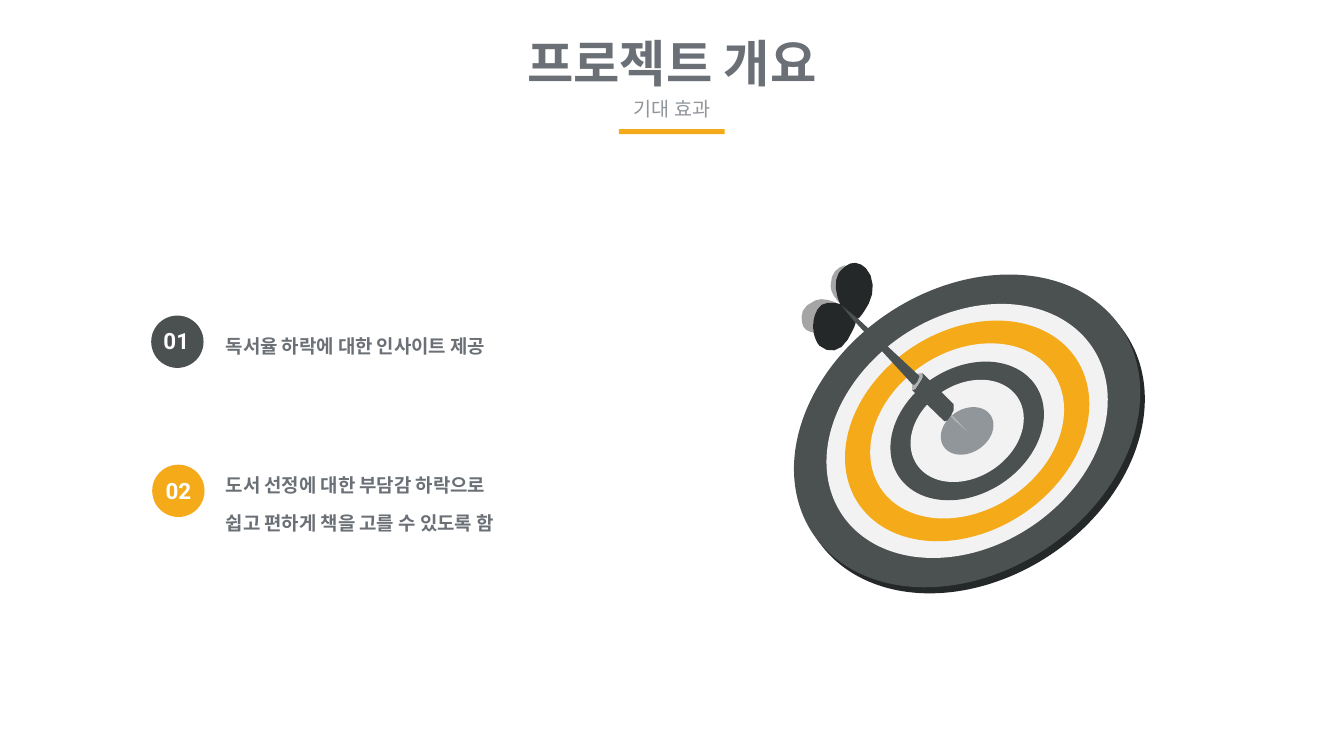
from pptx import Presentation, util as u
from pptx.dml.color import RGBColor
from pptx.enum import shapes, text

DARK, GOLD, PALE, BLACK = "4B5050", "F5AA19", "F2F2F2", "252828"
GREY, SOFT, FIN, GLINT = "6B7076", "91969B", "A5A5A5", "B1B1B1"
UNIT = 0.72  # points per step of the drawing grid


def color(code):
    return RGBColor.from_string(code)


def fill(shape, code):
    shape.fill.solid()
    shape.fill.fore_color.rgb = color(code)
    shape.line.fill.background()
    shape.shadow.inherit = False


def write(shape, words, size=13.5, font="Lato", code=GREY, bold=False,
          align="LEFT", anchor="TOP", space=None, wrap=True):
    frame = shape.text_frame
    frame.auto_size = text.MSO_AUTO_SIZE.NONE
    frame.word_wrap = wrap
    frame.margin_left = frame.margin_right = u.Pt(0)
    frame.margin_top = frame.margin_bottom = u.Pt(0)
    frame.vertical_anchor = getattr(text.MSO_ANCHOR, anchor)
    for i, line in enumerate(words.split("\n")):
        para = frame.add_paragraph() if i else frame.paragraphs[0]
        para.alignment = getattr(text.PP_ALIGN, align)
        if space:
            para.line_spacing = space
        run = para.add_run()
        run.text = line
        run.font.size, run.font.name, run.font.bold = u.Pt(size), font, bold
        run.font.color.rgb = color(code)


def curve(pts, steps=4):
    """Sample joined cubic curves: a start point, then three points for each."""
    out = [pts[0]]
    for i in range(0, len(pts) - 1, 3):
        a, b, c, d = pts[i:i + 4]
        for n in range(1, steps + 1):
            t = n / steps
            s = 1 - t
            out.append(tuple(
                s**3 * a[k] + 3 * s * s * t * b[k] + 3 * s * t * t * c[k] + t**3 * d[k]
                for k in (0, 1)))
    return out


class Page:
    def __init__(self, deck):
        self.slide = deck.slides.add_slide(deck.slide_layouts[5])
        self.items = self.slide.shapes

    def title(self, words, box, **style):
        head = self.items.title
        head.left, head.top, head.width, head.height = map(u.Pt, box)
        write(head, words, **style)

    def label(self, words, box, **style):
        write(self.items.add_textbox(*map(u.Pt, box)), words, **style)

    def block(self, kind, box, code):
        fill(self.items.add_shape(kind, *map(u.Pt, box)), code)

    def cluster(self):
        self.group = self.items.add_group_shape().shapes

    def ring(self, x, y, high, code):
        wide, tall = WIDE * high, TALL * high
        box = (x - wide, y - tall, 2 * wide, 2 * tall)
        oval = self.group.add_shape(shapes.MSO_SHAPE.OVAL,
                                    *(u.Pt(v * UNIT) for v in box))
        oval.rotation = TILT
        fill(oval, code)

    def outline(self, pts, code):
        spots = [(u.Pt(x * UNIT), u.Pt(y * UNIT)) for x, y in pts]
        pen = self.group.build_freeform(*spots[0])
        pen.add_line_segments(spots[1:], close=True)
        fill(pen.convert_to_shape(), code)


# Half axes of a ring whose tilted half height is 1, and its angle
WIDE, TALL, TILT = 1.19, 0.91, -33.6

# Centre, half height and colour of each ring, from back to front
RINGS = [(964, 433.5, 154.5, BLACK)] + [
    (959.5, 427.5, high, code) for high, code in
    [(154.5, DARK), (125.5, PALE), (109, GOLD), (86.5, PALE),
     (68.5, DARK), (50.5, PALE), (23.5, SOFT)]]

# Dart parts with straight edges
TIP = [(957, 425), (944, 411), (943, 413), (949, 419), (960, 428)]
BARREL = [(946, 401), (915, 370), (915, 375), (912, 380), (908, 386), (905, 387),
          (937, 418), (940, 417), (943, 413), (946, 407)]
COLLAR = [(915, 370), (910, 371), (912, 374), (910, 379), (907, 382), (905, 381),
          (905, 387), (908, 386), (912, 380), (915, 375)]
SHAFT = [(912, 373), (910, 371), (851, 316), (842, 309), (835, 303),
         (846, 317), (849, 320), (905, 381), (907, 382), (910, 379), (912, 374)]

# Dart fins with curved edges
FINS = [
    (FIN, [(811, 308), (815, 300), (826, 300), (835, 303), (826, 298), (816, 295),
           (809, 298), (795, 304), (794, 312), (796, 321), (797, 326), (801, 329),
           (807, 330), (806, 323), (807, 315), (811, 308)]),
    (FIN, [(832, 271), (834, 267), (837, 265), (839, 263), (831, 265), (824, 270),
           (824, 284), (824, 290), (829, 297), (835, 303), (830, 292), (828, 279),
           (832, 271)]),
    (BLACK, [(835, 302), (826, 299), (815, 299), (811, 307), (807, 314), (806, 322),
             (807, 329), (808, 334), (810, 340), (813, 343), (822, 351), (834, 349),
             (841, 337), (844, 331), (848, 325), (849, 320)]),
    (BLACK, [(832, 271), (827, 279), (829, 293), (834, 303), (838, 306), (845, 312),
             (850, 317), (854, 315), (858, 308), (862, 301), (868, 290), (867, 274),
             (859, 266), (853, 260), (845, 259), (839, 264), (836, 266), (834, 268),
             (832, 271)]),
]

# Each point: badge corner, number box, text box, badge colour, wording
POINTS = [
    ((108, 225.4), (116.6, 234), (161.3, 228.2, 352.8, 31.7), DARK,
     "독서율 하락에 대한 인사이트 제공"),
    ((108.7, 331.9), (118.1, 340.6), (161.3, 327.6, 334.1, 37.4), GOLD,
     "도서 선정에 대한 부담감 하락으로\n쉽고 편하게 책을 고를 수 있도록 함"),
]


def main():
    deck = Presentation()
    deck.slide_width, deck.slide_height = u.Pt(960), u.Pt(540)
    page = Page(deck)

    # Heading
    page.label("기대 효과", (130.3, 69.1, 699.8, 17.3), size=14, code=SOFT,
               align="CENTER", anchor="MIDDLE")
    page.block(shapes.MSO_SHAPE.RECTANGLE, (442.1, 92.2, 75.6, 3.6), GOLD)
    page.title("프로젝트 개요", (283.7, 22.3, 392.4, 43.9), size=36, bold=True,
               align="CENTER", anchor="MIDDLE")

    # Numbered points
    for i, (badge, spot, box, code, words) in enumerate(POINTS, 1):
        page.label(words, box, bold=True, space=1.68)
        page.block(shapes.MSO_SHAPE.OVAL, (*badge, 37.4, 37.4), code)
        page.label(f"{i:02}", (*spot, 18.7, 19.4), size=16, font="Roboto",
                   code="FFFFFF", bold=True, align="CENTER", wrap=False)

    # Target
    page.cluster()
    for ring in RINGS:
        page.ring(*ring)

    # Dart
    page.outline(TIP, GLINT)
    page.outline(BARREL, DARK)
    page.outline(COLLAR, GLINT)
    for code, pts in FINS:
        page.outline(curve(pts), code)
    page.outline(SHAFT, DARK)

    deck.save("out.pptx")


if __name__ == "__main__":
    main()
